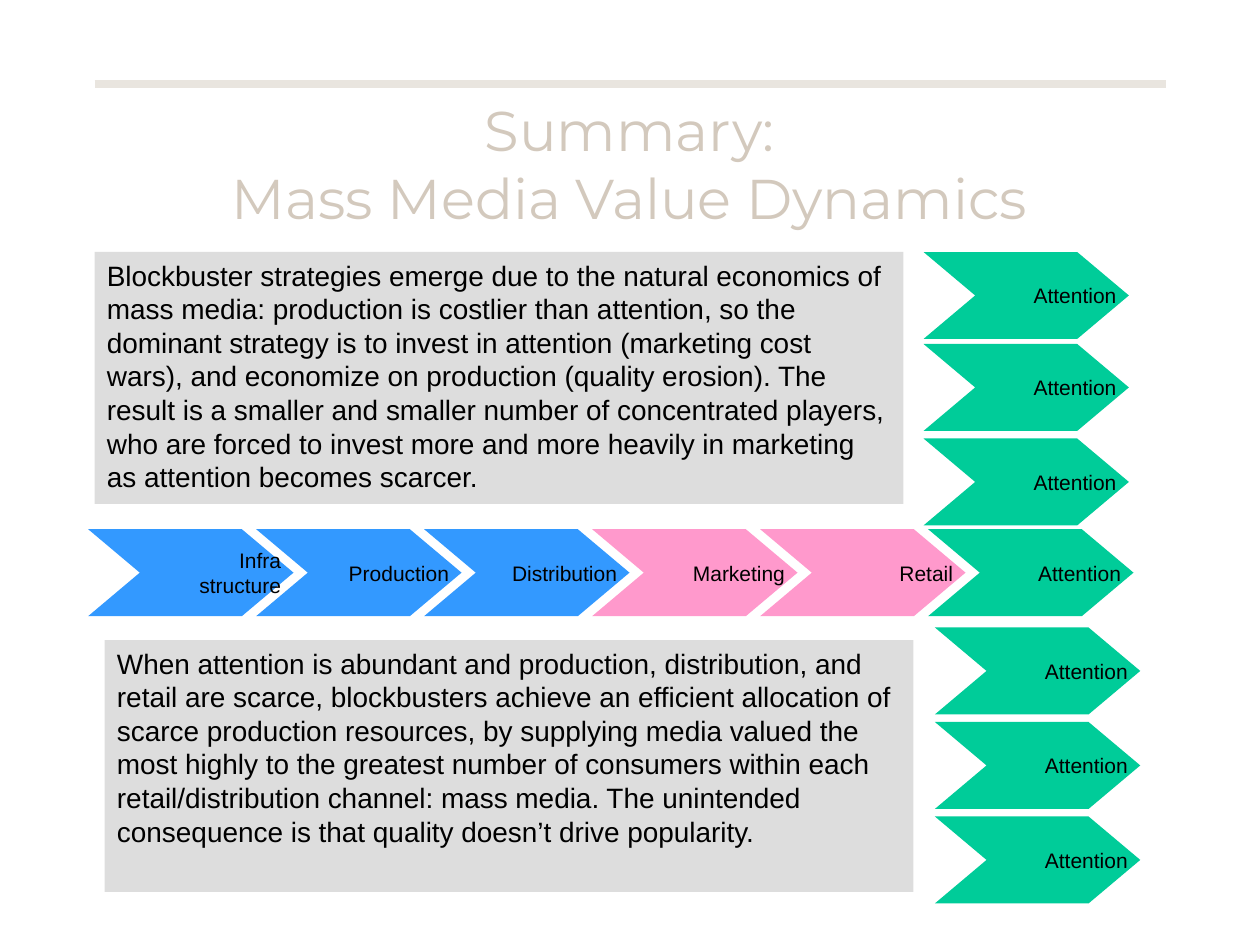
from dataclasses import dataclass

from lxml.etree import SubElement
from pptx import Presentation
from pptx.dml.color import RGBColor
from pptx.enum.shapes import MSO_CONNECTOR, MSO_SHAPE
from pptx.enum.text import MSO_ANCHOR, PP_ALIGN
from pptx.oxml.ns import qn
from pptx.util import Inches, Pt


@dataclass(frozen=True)
class Theme:
    rule: str = "E9E5DF"
    title: str = "D3C9BD"
    ink: str = "000000"
    panel: str = "DDDDDD"
    supply: str = "3399FF"
    selling: str = "FF99CC"
    attention: str = "00CC99"
    title_font: str = "Montserrat"
    body_font: str = "Arial"
    title_size: int = 32
    body_size: int = 16
    label_size: int = 12
    rule_width: float = 4.5


def write_text(shape, text, *, size, color, font,
               align=PP_ALIGN.LEFT, anchor=MSO_ANCHOR.TOP):
    frame = shape.text_frame
    frame.word_wrap = True
    frame.vertical_anchor = anchor
    frame.text = text
    for paragraph in frame.paragraphs:
        paragraph.alignment = align
        for run in paragraph.runs:
            run.font.size = Pt(size)
            run.font.name = font
            run.font.color.rgb = RGBColor.from_string(color)


class SlideBuilder:
    chevron_width = 1.63
    chevron_height = 0.69
    chevron_point = 0.41

    def __init__(self, slide, theme):
        self.shapes = slide.shapes
        self.theme = theme

    def fill(self, shape, color):
        shape.shadow.inherit = False
        shape.fill.solid()
        shape.fill.fore_color.rgb = RGBColor.from_string(color)
        shape.line.fill.background()

    def rule(self, left, right, top):
        line = self.shapes.add_connector(
            MSO_CONNECTOR.STRAIGHT,
            Inches(left), Inches(top), Inches(right), Inches(top))
        line.line.color.rgb = RGBColor.from_string(self.theme.rule)
        line.line.width = Pt(self.theme.rule_width)
        SubElement(line._element.spPr, qn("a:effectLst"))

    def title(self, text, left, top, width, height):
        box = self.shapes.add_textbox(
            Inches(left), Inches(top), Inches(width), Inches(height))
        write_text(box, text, size=self.theme.title_size,
                   color=self.theme.title, font=self.theme.title_font,
                   align=PP_ALIGN.CENTER, anchor=MSO_ANCHOR.MIDDLE)

    def panel(self, text, left, top, width=6.42, height=2):
        panel = self.shapes.add_shape(
            MSO_SHAPE.RECTANGLE,
            Inches(left), Inches(top), Inches(width), Inches(height))
        self.fill(panel, self.theme.panel)
        write_text(panel, text, size=self.theme.body_size,
                   color=self.theme.ink, font=self.theme.body_font)

    def chevron(self, text, left, top, color):
        right = left + self.chevron_width
        shoulder = right - self.chevron_point
        middle = top + self.chevron_height / 2
        bottom = top + self.chevron_height
        outline = [(shoulder, top), (right, middle), (shoulder, bottom),
                   (left, bottom), (left + self.chevron_point, middle)]
        builder = self.shapes.build_freeform(Inches(left), Inches(top))
        builder.add_line_segments(
            [(Inches(x), Inches(y)) for x, y in outline], close=True)
        chevron = builder.convert_to_shape()
        self.fill(chevron, color)
        write_text(chevron, text, size=self.theme.label_size,
                   color=self.theme.ink, font=self.theme.body_font,
                   align=PP_ALIGN.RIGHT, anchor=MSO_ANCHOR.MIDDLE)


def main():
    presentation = Presentation()
    presentation.slide_width = Inches(10)
    presentation.slide_height = Inches(7.5)
    slide = presentation.slides.add_slide(presentation.slide_layouts[6])
    theme = Theme()
    builder = SlideBuilder(slide, theme)

    builder.rule(0.75, 9.25, 0.67)
    builder.title("Summary:\vMass Media Value Dynamics", 0.75, 0.67, 8.5, 1.25)

    value_chain = [
        ("Infra\nstructure", theme.supply),
        ("Production", theme.supply),
        ("Distribution", theme.supply),
        ("Marketing", theme.selling),
        ("Retail", theme.selling),
        ("Attention", theme.attention),
    ]
    chain_left, chain_top, chain_step = 0.7, 4.2, 4 / 3
    for index, (label, color) in reversed(list(enumerate(value_chain))):
        builder.chevron(label, chain_left + index * chain_step, chain_top, color)

    attention_columns = [(7.33, (2, 2.73, 3.48)), (7.42, (4.98, 5.73, 6.48))]
    for left, tops in attention_columns:
        for top in tops:
            builder.chevron("Attention", left, top, theme.attention)

    builder.panel(
        "Blockbuster strategies emerge due to the natural economics of mass "
        "media: production is costlier than attention, so the dominant "
        "strategy is to invest in attention (marketing cost wars), and "
        "economize on production (quality erosion). The result is a smaller "
        "and smaller number of concentrated players, who are forced to invest "
        "more and more heavily in marketing as attention becomes scarcer.",
        0.75, 2)
    builder.panel(
        "When attention is abundant and production, distribution, and retail "
        "are scarce, blockbusters achieve an efficient allocation of scarce "
        "production resources, by supplying media valued the most highly to "
        "the greatest number of consumers within each retail/distribution "
        "channel: mass media. The unintended consequence is that quality "
        "doesn’t drive popularity.",
        0.83, 5.08)

    presentation.save("out.pptx")


if __name__ == "__main__":
    main()
